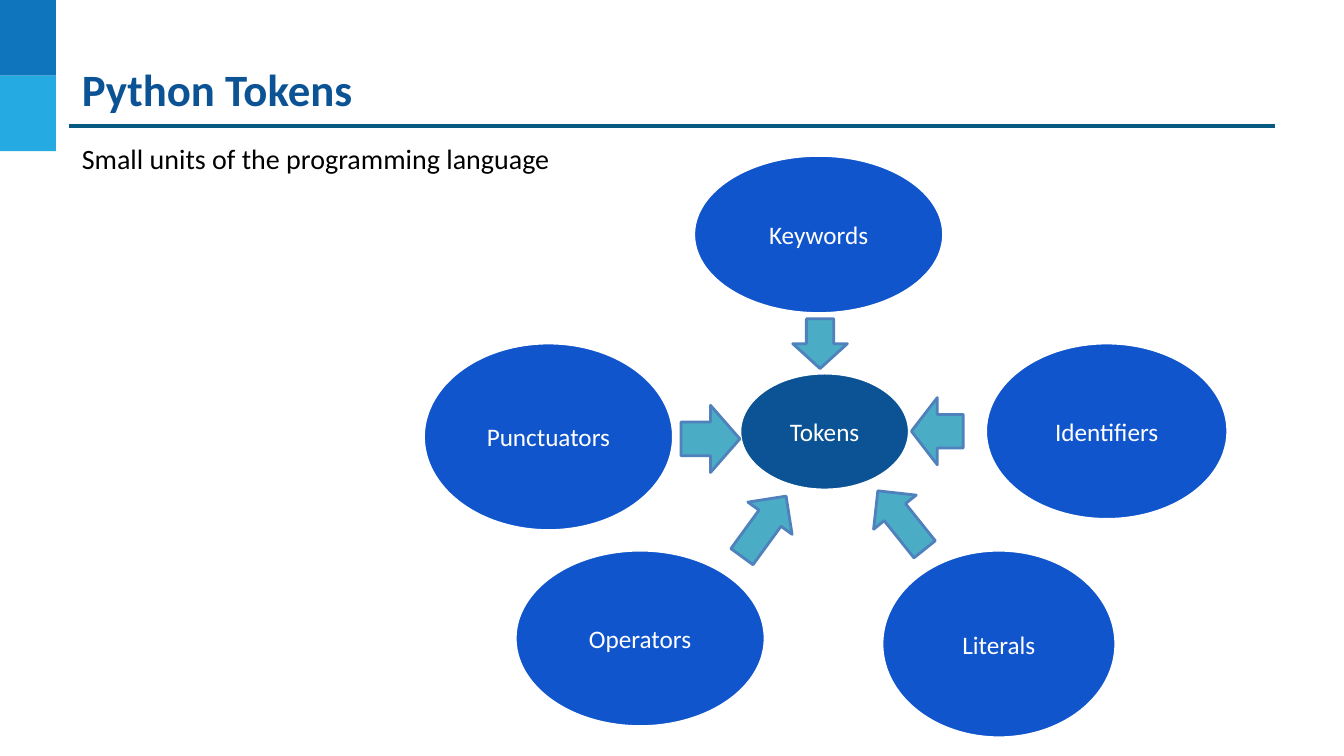
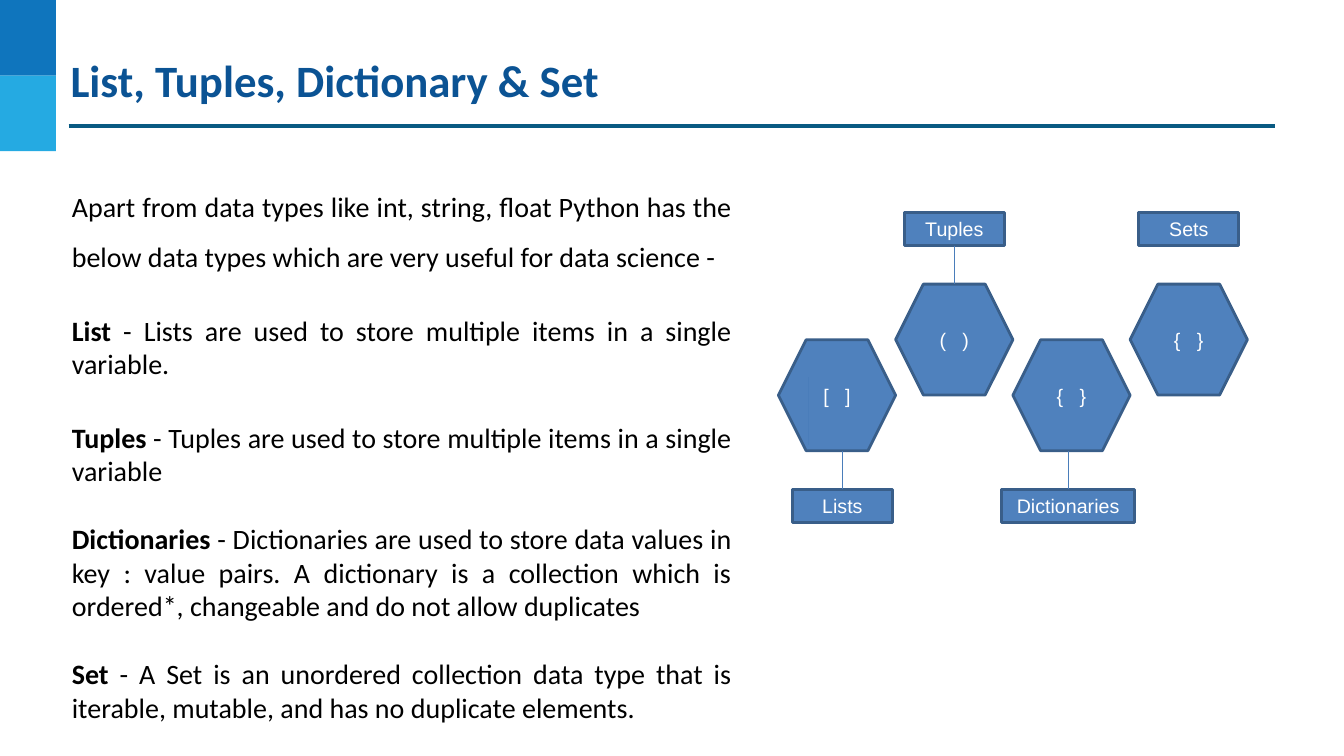
from lxml.etree import SubElement
from pptx import Presentation
from pptx.dml.color import RGBColor
from pptx.enum.shapes import MSO_CONNECTOR, MSO_SHAPE
from pptx.enum.text import MSO_ANCHOR, MSO_AUTO_SIZE, PP_ALIGN
from pptx.oxml.ns import qn
from pptx.util import Pt

NAVY, BLUE, SKY, TEAL = "0B5394", "0F75BD", "25AAE2", "095A82"
ROYAL, AQUA, STEEL, EDGE, WIRE = "1155CC", "4BACC6", "4F81BD", "395E89", "4A7DBA"
WHITE, BLACK = "FFFFFF", "000000"


def color(code):
    return RGBColor.from_string(code)


class Deck:
    """Holds the shared style and the slide being drawn."""

    def __init__(self):
        self.prs = Presentation()
        self.prs.slide_width, self.prs.slide_height = Pt(960), Pt(540)
        self.slide = None

    def page(self, title, left, top, inset):
        """Start a slide with its side bands, title and rule."""
        self.slide = self.prs.slides.add_slide(self.prs.slide_layouts[1])
        for row, fill in enumerate((BLUE, SKY)):
            self.shape(MSO_SHAPE.RECTANGLE, (0, 54 * row, 40, 54), fill)
        self.line((49, 90), (911, 90), TEAL, 2.25)
        head = self.slide.shapes.title
        frame = self.place(head, (left, top, 862, 39), inset)
        frame.text = title
        frame.paragraphs[0].alignment = PP_ALIGN.LEFT
        self.font(frame.paragraphs[0], 32, NAVY, bold=True)

    def place(self, holder, box, inset):
        """Move a placeholder and reset its frame; return the frame."""
        holder.left, holder.top, holder.width, holder.height = map(Pt, box)
        frame = holder.text_frame
        frame.margin_left = frame.margin_right = Pt(inset)
        frame.margin_top = frame.margin_bottom = Pt(inset)
        frame.vertical_anchor = MSO_ANCHOR.TOP
        frame.word_wrap = True
        frame.auto_size = MSO_AUTO_SIZE.NONE
        return frame

    def font(self, para, size, code, name="Calibri", bold=False):
        for run in para.runs:
            run.font.size, run.font.name, run.font.bold = Pt(size), name, bold
            run.font.color.rgb = color(code)

    def body(self, box, inset, items, align=PP_ALIGN.LEFT):
        """Fill the body with items of (bold lead, text, space before, line spacing)."""
        frame = self.place(self.slide.placeholders[1], box, inset)
        for i, (lead, text, gap, pitch) in enumerate(items):
            para = frame.add_paragraph() if i else frame.paragraphs[0]
            para.text = lead + text if not lead else lead
            if lead:
                para.add_run().text = text
            self.font(para, 20, BLACK)
            para.runs[0].font.bold = bool(lead)
            para.alignment = align
            para.space_before, para.line_spacing = Pt(gap), pitch
            props = para._p.get_or_add_pPr()
            props.set("marL", "0")
            props.set("indent", "0")
            SubElement(props, qn("a:buNone"))

    def shape(self, kind, box, fill, edge=None, turn=0):
        item = self.slide.shapes.add_shape(kind, *map(Pt, box))
        item.shadow.inherit = False
        item.fill.solid()
        item.fill.fore_color.rgb = color(fill)
        if edge:
            item.line.color.rgb = color(edge)
            item.line.width = Pt(2)
        else:
            item.line.fill.background()
        item.rotation = turn
        return item

    def label(self, kind, box, text, fill, edge, size, name):
        """Draw a shape with centred white text."""
        item = self.shape(kind, box, fill, edge)
        frame = item.text_frame
        frame.text = text
        frame.word_wrap = True
        frame.vertical_anchor = MSO_ANCHOR.MIDDLE
        frame.paragraphs[0].alignment = PP_ALIGN.CENTER
        self.font(frame.paragraphs[0], size, WHITE, name)
        return item

    def line(self, start, end, code, width):
        item = self.slide.shapes.add_connector(
            MSO_CONNECTOR.STRAIGHT, *map(Pt, start + end))
        item.line.color.rgb = color(code)
        item.line.width = Pt(width)
        SubElement(item._element.spPr, qn("a:effectLst"))
        return item


def tokens(deck):
    deck.page("Python Tokens", 49, 34.5, 9.4)
    deck.body((49, 91.5, 862, 39), 9.4,
              [("", "Small units of the programming language", 0, 1)])
    ovals = [
        ("Tokens", (528.5, 266.5, 121, 83.5), NAVY),
        ("Operators", (368, 393, 178.5, 126), ROYAL),
        ("Punctuators", (302.5, 245, 178.5, 134), ROYAL),
        ("Literals", (630, 393, 167, 134), ROYAL),
        ("Identifiers", (704, 245, 173, 126), ROYAL),
        ("Keywords", (495.5, 111, 178.5, 113), ROYAL),
    ]
    for text, box, fill in ovals:
        deck.label(MSO_SHAPE.OVAL, box, text, fill, WHITE, 18, "Calibri")
    arrows = [
        ((519, 356.5, 53.5, 39), 306.1),
        ((617, 352, 53.5, 39), 231.3),
        ((486.5, 289.5, 42, 48), 0),
        ((568, 226, 35.5, 39), 90),
        ((651, 284, 37, 48), 180),
    ]
    for box, turn in arrows:
        deck.shape(MSO_SHAPE.RIGHT_ARROW, box, AQUA, STEEL, turn)


def types(deck):
    deck.page("List, Tuples, Dictionary & Set", 49, 36, 1.4)
    deck.body((47, 119, 480, 421), 4.3, [
        ("", "Apart from data types like int, string, float Python has the below "
             "data types which are very useful for data science -", 0, 1.5),
        ("List", " - Lists are used to store multiple items in a single variable.",
         28.4, 1),
        ("Tuples", " - Tuples are used to store multiple items in a single variable",
         28.4, 1),
        ("Dictionaries", " - Dictionaries are used to store data values in key : value "
         "pairs. A dictionary is a collection which is ordered*, changeable and do "
         "not allow duplicates", 24.4, 1),
        ("Set", " - A Set is an unordered collection data type that is iterable, "
         "mutable, and has no duplicate elements.", 24.4, 1),
    ], PP_ALIGN.JUSTIFY)

    wide, tall, low, high = 83.75, 79.2, 242.75, 203
    style = (STEEL, EDGE, 14, "Arial")
    cells = [
        ("[   ]", "Lists", 566, 71.5),
        ("(   )", "Tuples", 646, 71.5),
        ("{   }", "Dictionaries", 715.5, 95),
        ("{   }", "Sets", 813.5, 71.5),
    ]
    for i, (mark, name, left, width) in enumerate(cells):
        upper = i % 2 == 1
        top = high if upper else low
        deck.label(MSO_SHAPE.HEXAGON, (556 + wide * i, top, wide, tall), mark, *style)
        box = (left, 151.5 if upper else 349.5, width, 24)
        tag = deck.label(MSO_SHAPE.RECTANGLE, box, name, *style)
        if name != "Sets":
            mid = left + width / 2
            edge = top if upper else top + tall
            wire = deck.line((mid, box[1]), (mid, edge), WIRE, 0.75)
            wire.begin_connect(tag, 2 if upper else 0)
    deck.line((577.5, 269.5), (577.5, 318), WIRE, 0.75)


def main():
    deck = Deck()
    tokens(deck)
    types(deck)
    deck.prs.save("out.pptx")


if __name__ == "__main__":
    main()
